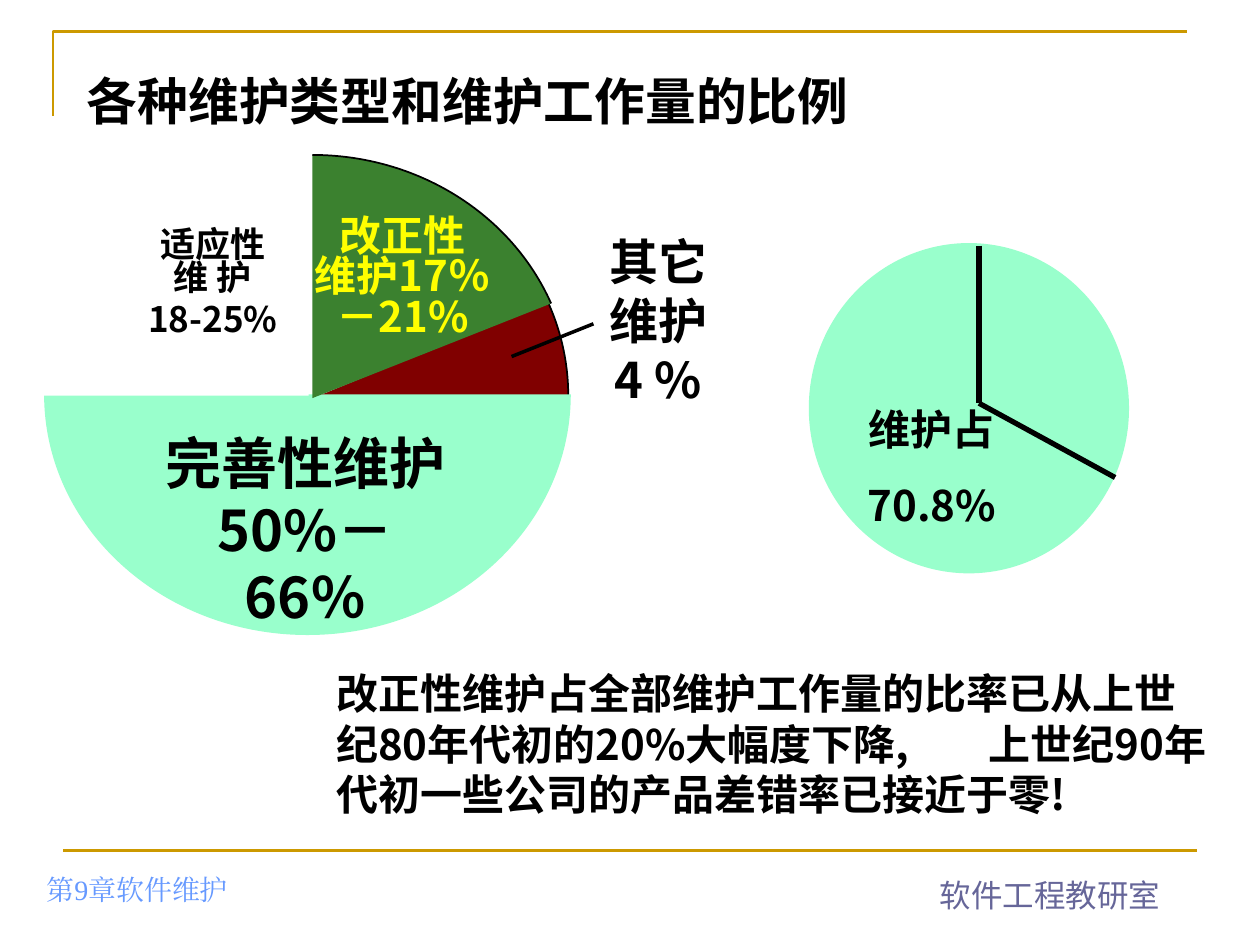
from copy import deepcopy
from math import cos, radians, sin, tan

from lxml import etree
from pptx import Presentation
from pptx.dml.color import RGBColor
from pptx.enum.shapes import MSO_CONNECTOR, MSO_SHAPE
from pptx.enum.text import MSO_ANCHOR, MSO_AUTO_SIZE, PP_ALIGN
from pptx.oxml.ns import qn
from pptx.util import Inches, Pt

STRAIGHT = MSO_CONNECTOR.STRAIGHT
OVAL = MSO_SHAPE.OVAL
TOP, MIDDLE, BOTTOM = MSO_ANCHOR.TOP, MSO_ANCHOR.MIDDLE, MSO_ANCHOR.BOTTOM
LEFT, CENTER = PP_ALIGN.LEFT, PP_ALIGN.CENTER
NO_AUTOFIT = MSO_AUTO_SIZE.NONE

BLACK = RGBColor(0x00, 0x00, 0x00)
WHITE = RGBColor(0xFF, 0xFF, 0xFF)
GOLD = RGBColor(0xCC, 0x99, 0x00)
SKY = RGBColor(0x66, 0x99, 0xFF)
SLATE = RGBColor(0x66, 0x66, 0x99)
MINT = RGBColor(0x99, 0xFF, 0xCC)
GREEN = RGBColor(0x3B, 0x81, 0x2F)
MAROON = RGBColor(0x80, 0x00, 0x00)
YELLOW = RGBColor(0xFF, 0xFF, 0x00)
SANS = "Noto Sans CJK SC"


def write(box, lines, size, color, font=SANS, bold=True, align=CENTER, anchor=TOP):
    frame = box.text_frame
    frame.text = "\n".join(lines)
    frame.auto_size = NO_AUTOFIT
    frame.vertical_anchor = anchor
    frame.word_wrap = True
    for para in frame.paragraphs:
        para.alignment = align
        for span in para.runs:
            span.font.size = Pt(size)
            span.font.bold = bold
            span.font.name = font
            span.font.color.rgb = color
            east_asian = etree.SubElement(span.font._element, qn("a:ea"))
            east_asian.set("typeface", font)
    return frame


def outline(points, closed, fill, line, width):
    corners = [(Inches(x), Inches(y)) for x, y in points]
    builder = page.shapes.build_freeform(*corners[0])
    builder.add_line_segments(corners[1:], close=closed)
    shape = builder.convert_to_shape()
    shape.shadow.inherit = False
    if fill is None:
        shape.fill.background()
    else:
        shape.fill.solid()
        shape.fill.fore_color.rgb = fill
    if line is None:
        shape.line.fill.background()
    else:
        shape.line.color.rgb = line
        shape.line.width = Pt(width)
    return shape


deck = Presentation()
deck.slide_width = Inches(10)
deck.slide_height = Inches(7.5)
page = deck.slides.add_slide(deck.slide_layouts[5])

title = page.shapes.title
title.left, title.top = Inches(0.59), Inches(0.44)
title.width, title.height = Inches(8.9), Inches(0.71)
write(title, ["各种维护类型和维护工作量的比例"], 29, BLACK, align=LEFT, anchor=MIDDLE)

outline([(0.42, 0.92), (0.42, 0.25), (9.42, 0.25)], False, None, GOLD, 1.5)

sectors = [
    (2.46, 3.14, 2.05, 3.17, [0, 23], MAROON, BLACK),
    (2.44, 3.13, 2.09, 3.13, [360, 270, 180], MINT, None),
    (2.45, 3.14, 2.1, 3.14, [180, 90], WHITE, None),
    (2.48, 3.14, 2.05, 3.16, [90, 22.5], GREEN, BLACK),
]
radius_y = 1.91
for center_x, center_y, radius_x, tip_y, degrees, fill, edge in sectors:
    angles = [radians(degree) for degree in degrees]
    arc = [(center_x + radius_x * cos(a), center_y - radius_y * sin(a)) for a in angles]
    sector = outline(arc + [(center_x, tip_y)], True, fill, edge, 1)
    area = sector._element.find(".//" + qn("a:path"))
    segments = area.findall(qn("a:lnTo"))
    for start, end, segment in zip(angles, angles[1:], segments):
        reach = 4 / 3 * tan((end - start) / 4)
        curve = etree.Element(qn("a:cubicBezTo"))
        for angle, pull in ((start, reach), (end, -reach), (end, 0)):
            x = center_x + radius_x * (cos(angle) - pull * sin(angle))
            y = center_y - radius_y * (sin(angle) + pull * cos(angle))
            point = etree.SubElement(curve, qn("a:pt"))
            point.set("x", str(Inches(x) - sector.left))
            point.set("y", str(Inches(y) - sector.top))
        area.replace(segment, curve)
    rim = deepcopy(area)
    rim.remove(rim.find(qn("a:lnTo")))
    rim.remove(rim.find(qn("a:close")))
    rim.set("fill", "none")
    area.set("stroke", "0")
    area.addnext(rim)

circle = page.shapes.add_shape(OVAL, Inches(6.44), Inches(1.95), Inches(2.5), Inches(2.58))
circle.shadow.inherit = False
circle.fill.solid()
circle.fill.fore_color.rgb = MINT
circle.line.color.rgb = MINT
circle.line.width = Pt(3)

rules = [
    (0.5, 6.75, 9.5, 6.75, GOLD, 1.5),
    (4.06, 2.83, 4.71, 2.57, BLACK, 2),
    (7.77, 1.95, 7.77, 3.2, BLACK, 3),
    (7.77, 3.2, 8.85, 3.79, BLACK, 3),
]
for x1, y1, x2, y2, color, width in rules:
    rule = page.shapes.add_connector(STRAIGHT, Inches(x1), Inches(y1), Inches(x2), Inches(y2))
    rule.line.color.rgb = color
    rule.line.width = Pt(width)
    etree.SubElement(rule._element.spPr, qn("a:effectLst"))

labels = [
    (4.64, 1.79, 1.17, 1.5, ["其它", "维护", "4 %"], 28, BLACK, 0),
    (0.98, 1.78, 1.42, 0.96, ["适应性", "维 护", "18-25%"], 20, BLACK, 2),
    (2.3, 1.69, 1.79, 1.06, ["改正性", "维护17％－21%"], 24, YELLOW, 2),
    (1.18, 3.35, 2.49, 1.7, ["完善性维护50%－66％"], 32, BLACK, 0),
]
for left, top, width, height, lines, size, color, tight_lines in labels:
    box = page.shapes.add_textbox(Inches(left), Inches(top), Inches(width), Inches(height))
    frame = write(box, lines, size, color)
    for para in frame.paragraphs[:tight_lines]:
        para.line_spacing = 0.8

share = page.shapes.add_textbox(Inches(6.27), Inches(3.2), Inches(2.25), Inches(1.01))
frame = write(share, ["维护占", "70.8%"], 24, BLACK)
frame.margin_left = frame.margin_right = frame.margin_top = frame.margin_bottom = 0
frame.paragraphs[1].space_before = Pt(15)

remark = page.shapes.add_textbox(Inches(2.57), Inches(5.25), Inches(7.17), Inches(1.3))
frame = write(remark, ["改正性维护占全部维护工作量的比率已从上世纪80年代初的20%大幅度下降,\t"
                       "上世纪90年代初一些公司的产品差错率已接近于零!"], 24, BLACK, align=LEFT)
tabs = etree.SubElement(frame.paragraphs[0]._p.get_or_add_pPr(), qn("a:tabLst"))
etree.SubElement(tabs, qn("a:tab"), pos=str(Inches(5.18)), algn="l")

chapter = page.shapes.add_textbox(Inches(0.27), Inches(6.74), Inches(3.15), Inches(0.5))
write(chapter, ["第9章软件维护"], 16, SKY, "Times New Roman", False, LEFT, BOTTOM)

office = page.shapes.add_textbox(Inches(7.36), Inches(6.9), Inches(1.95), Inches(0.4))
write(office, ["软件工程教研室"], 18, SLATE, "Arial", False, LEFT).word_wrap = False

deck.save("out.pptx")
